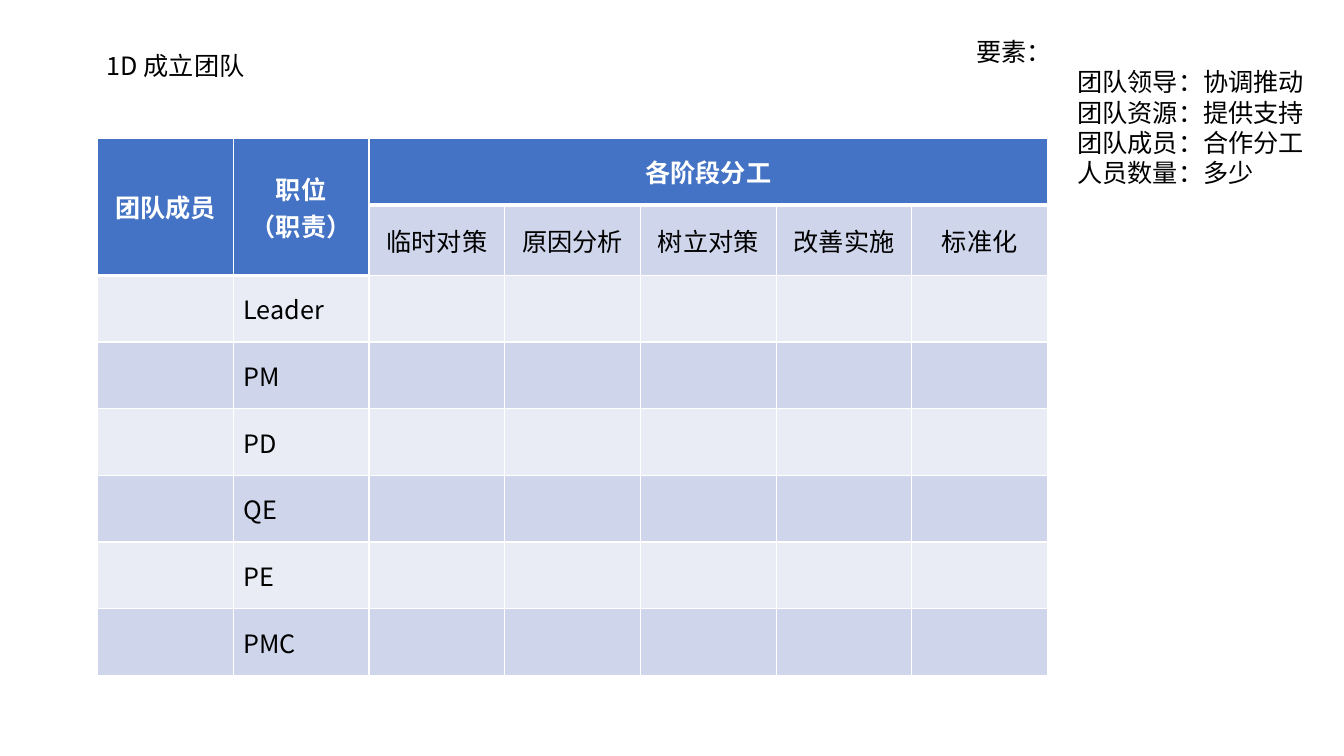
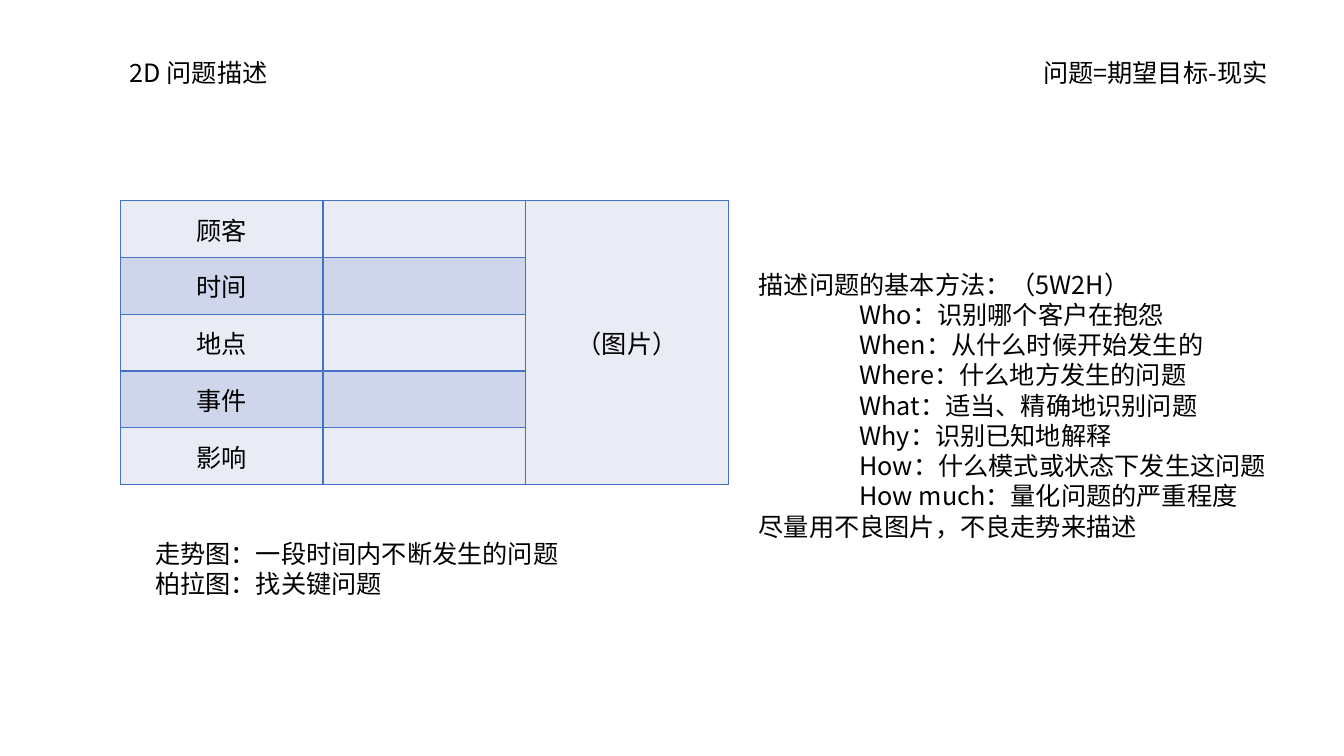
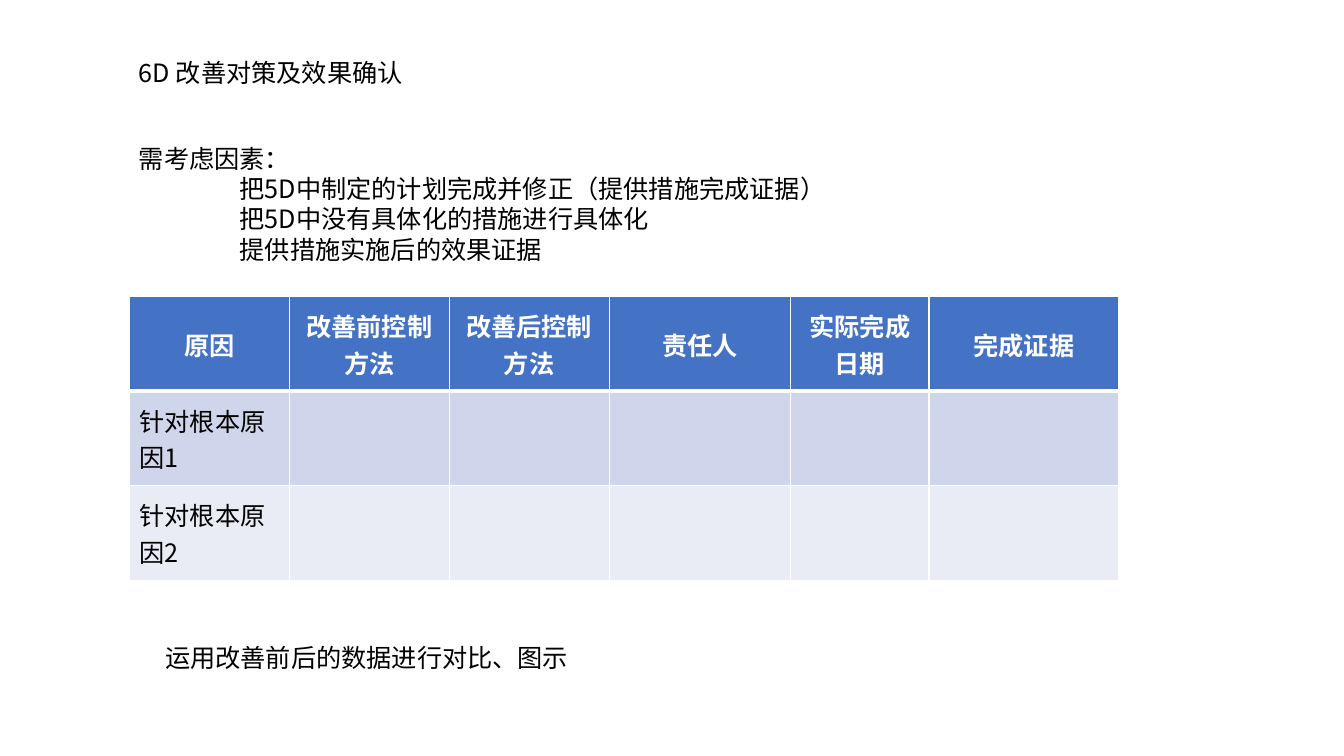
"""Build three 8D report slides: team, problem description, improvement check."""
from lxml.etree import SubElement
from pptx import Presentation
from pptx.dml.color import RGBColor
from pptx.enum.text import MSO_ANCHOR, MSO_AUTO_SIZE, PP_ALIGN
from pptx.oxml.ns import qn
from pptx.util import Cm, Pt

COLORS = {"text": "000000", "white": "FFFFFF", "blue": "4472C4",
          "odd": "CFD5EA", "even": "E9EBF5"}
FONT = "Noto Sans CJK SC"
BOX = {"word_wrap": True, "auto_size": MSO_AUTO_SIZE.SHAPE_TO_FIT_TEXT,
       "margin_top": Cm(0.18), "margin_bottom": Cm(0.08)}
PLAIN = {"size": Pt(18), "name": FONT, "bold": False}
HEAD = {**PLAIN, "bold": True}


def write(tf, lines, font=PLAIN, color="text", para={}):
    for i, line in enumerate(lines):
        p = tf.paragraphs[0] if i == 0 else tf.add_paragraph()
        for key, value in para.items():
            setattr(p, key, value)
        if line.startswith("\t"):
            p._p.get_or_add_pPr().set("marL", str(Cm(2.54)))
        r = p.add_run()
        r.text = line.strip()
        for key, value in font.items():
            setattr(r.font, key, value)
        r.font.color.rgb = RGBColor.from_string(COLORS[color])
        SubElement(r._r.get_or_add_rPr(), qn("a:ea")).set("typeface", FONT)


def add_grid(s, left, top, cols, row_height, rows, merges=(), header=True,
             centred=1, border="white"):
    frame = s.shapes.add_table(len(rows), len(cols), Cm(left), Cm(top),
                               Cm(sum(cols)), Cm(row_height * len(rows)))
    tbl = frame.table
    tbl.first_row = tbl.horz_banding = False
    for col, width in zip(tbl.columns, cols):
        col.width = Cm(width)
    for r1, c1, r2, c2 in merges:
        tbl.cell(r1, c1).merge(tbl.cell(r2, c2))
    for i, row in enumerate(rows):
        tbl.rows[i].height = Cm(row_height)
        for j, text in enumerate(row):
            cell = tbl.cell(i, j)
            is_head = header and (i == 0 or cell.is_spanned)
            under_head = header and 0 < i <= 2 and not is_head
            widths = {"a:lnL": 1, "a:lnR": 1, "a:lnT": 3 if under_head and (
                i == 1 or tbl.cell(1, j).is_spanned) else 1,
                "a:lnB": 3 if is_head else 1}
            for tag, width in widths.items():
                ln = SubElement(cell._tc.get_or_add_tcPr(), qn(tag), w=str(Pt(width)))
                fill = SubElement(ln, qn("a:solidFill"))
                SubElement(fill, qn("a:srgbClr"), val=COLORS[border])
            cell.fill.solid()
            shade = "blue" if is_head else "odd" if i % 2 else "even"
            cell.fill.fore_color.rgb = RGBColor.from_string(COLORS[shade])
            cell.vertical_anchor = MSO_ANCHOR.MIDDLE
            if text:
                align = PP_ALIGN.CENTER if i < centred else PP_ALIGN.LEFT
                write(cell.text_frame, text.split("\n"), HEAD if is_head else PLAIN,
                      "white" if is_head else "text", {"alignment": align})


prs = Presentation()
prs.slide_width, prs.slide_height = Cm(33.87), Cm(19.05)

team_rows = [["团队成员", "职位\n（职责）", "各阶段分工", "", "", "", ""],
             ["", "", "临时对策", "原因分析", "树立对策", "改善实施", "标准化"]]
team_rows += [["", role] + [""] * 5 for role in ("Leader", "PM", "PD", "QE", "PE", "PMC")]

problem_rows = [[name, "", ""] for name in ("顾客", "时间", "地点", "事件", "影响")]
problem_rows[0][2] = "（图片）"

check_rows = [["原因", "改善前控制方法", "改善后控制方法", "责任人", "实际完成日期", "完成证据"]]
check_rows += [[f"针对根本原因{n}"] + [""] * 5 for n in (1, 2)]

slides = [
    {"boxes": [
        (2.44, 1.09, 6.73, ["1D 成立团队"]),
        (24.36, 0.74, 8.81, ["要素：", "\t团队领导：协调推动", "\t团队资源：提供支持",
                             "\t团队成员：合作分工", "\t人员数量：多少"])],
     "grid": {"left": 2.46, "top": 3.48, "cols": [3.42] * 7, "row_height": 1.68,
              "rows": team_rows, "centred": 2,
              "merges": [(0, 0, 1, 0), (0, 1, 1, 1), (0, 2, 0, 6)]}},
    {"boxes": [
        (3.02, 1.27, 7.67, ["2D 问题描述"]),
        (26.04, 1.27, 7.04, ["问题=期望目标-现实"]),
        (18.87, 6.6, 14.2, ["描述问题的基本方法：（5W2H）",
                            "\tWho：识别哪个客户在抱怨",
                            "\tWhen：从什么时候开始发生的",
                            "\tWhere：什么地方发生的问题",
                            "\tWhat：适当、精确地识别问题",
                            "\tWhy：识别已知地解释",
                            "\tHow：什么模式或状态下发生这问题",
                            "\tHow much：量化问题的严重程度",
                            "尽量用不良图片，不良走势来描述"]),
        (3.66, 13.39, 13.28, ["走势图：一段时间内不断发生的问题", "柏拉图：找关键问题"])],
     "grid": {"left": 3.03, "top": 5.06, "cols": [5.11] * 3, "row_height": 1.43,
              "rows": problem_rows, "centred": 5, "header": False,
              "border": "blue", "merges": [(0, 2, 4, 2)]}},
    {"boxes": [
        (3.25, 1.27, 13.69, ["6D 改善对策及效果确认"]),
        (3.25, 3.43, 18.95, ["需考虑因素：",
                             "\t把5D中制定的计划完成并修正（提供措施完成证据）",
                             "\t把5D中没有具体化的措施进行具体化",
                             "\t提供措施实施后的效果证据"]),
        (3.91, 16.0, 18.8, ["运用改善前后的数据进行对比、图示"])],
     "grid": {"left": 3.26, "top": 7.48, "cols": [4.03, 4.03, 4.03, 4.58, 3.48, 4.79],
              "row_height": 2.38, "rows": check_rows}},
]

for slide in slides:
    s = prs.slides.add_slide(prs.slide_layouts[6])
    for left, top, width, lines in slide["boxes"]:
        sp = s.shapes.add_textbox(Cm(left), Cm(top), Cm(width), Cm(0.26 + 0.76 * len(lines)))
        tf = sp.text_frame
        for key, value in BOX.items():
            setattr(tf, key, value)
        write(tf, lines, para={"line_spacing": Pt(21.6)})
    add_grid(s, **slide["grid"])

prs.save("out.pptx")
